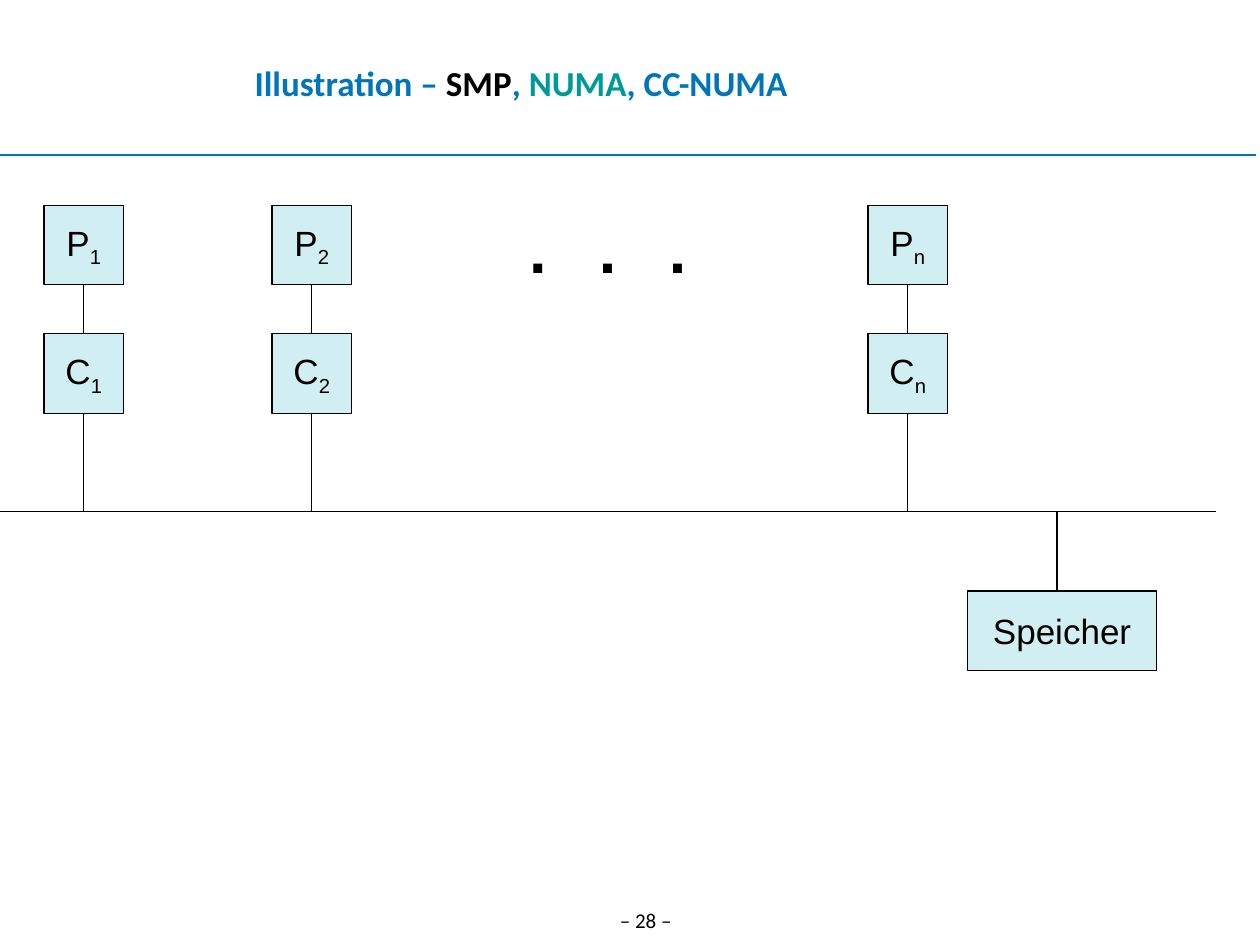
from dataclasses import dataclass

from lxml.etree import SubElement
from pptx import Presentation
from pptx.dml.color import RGBColor
from pptx.enum.shapes import MSO_CONNECTOR, MSO_SHAPE
from pptx.enum.text import MSO_ANCHOR, MSO_AUTO_SIZE, PP_ALIGN
from pptx.oxml.ns import qn
from pptx.util import Inches, Pt


@dataclass(frozen=True)
class Theme:
    """Colours, fonts and sizes of the slide."""
    blue: str = "0075BA"
    teal: str = "009999"
    black: str = "000000"
    pale: str = "D1EFF3"
    heading_font: str = "Calibri"
    body_font: str = "Arial"
    text_size: int = 20
    dots_size: int = 36
    page_size: int = 12
    line_width: float = 0.75


THEME = Theme()
UNIT = 0.63
COLUMNS = {"1": 0.35, "2": 2.16, "n": 6.89}
ROWS = {"P": 1.63, "C": 2.65}
BUS_Y = 4.06


def add_span(para, text, size=THEME.text_size, font=THEME.body_font, color=THEME.black, bold=False):
    """Append a formatted run to a paragraph and return it."""
    span = para.add_run()
    span.text = text
    span.font.size = Pt(size)
    span.font.name = font
    span.font.bold = bold
    span.font.color.rgb = RGBColor.from_string(color)
    return span


def add_line(page, start, end, color=THEME.black):
    """Draw a straight line between two points."""
    points = [Inches(value) for value in (*start, *end)]
    line = page.shapes.add_connector(MSO_CONNECTOR.STRAIGHT, *points)
    line.line.color.rgb = RGBColor.from_string(color)
    line.line.width = Pt(THEME.line_width)
    SubElement(line.element.spPr, qn("a:effectLst"))


def add_node(page, left, top, width, label, index=""):
    """Draw a framed box with a label and an optional subscript."""
    box = page.shapes.add_shape(
        MSO_SHAPE.RECTANGLE, Inches(left), Inches(top), Inches(width), Inches(UNIT))
    box.shadow.inherit = False
    box.fill.solid()
    box.fill.fore_color.rgb = RGBColor.from_string(THEME.pale)
    box.line.color.rgb = RGBColor.from_string(THEME.black)
    box.line.width = Pt(THEME.line_width)
    box.text_frame.word_wrap = False
    box.text_frame.vertical_anchor = MSO_ANCHOR.MIDDLE
    para = box.text_frame.paragraphs[0]
    para.alignment = PP_ALIGN.CENTER
    add_span(para, label)
    if index:
        subscript = add_span(para, index)
        subscript.font._element.set("baseline", "-25000")


def add_label(page, left, top, width, height, align):
    """Add a text box and return its first paragraph."""
    box = page.shapes.add_textbox(Inches(left), Inches(top), Inches(width), Inches(height))
    box.text_frame.word_wrap = False
    para = box.text_frame.paragraphs[0]
    para.alignment = align
    return para


def set_title(page):
    """Place the title and colour the architecture names."""
    title = page.shapes.title
    title.left, title.top, title.width, title.height = map(Inches, (0.2, 0.23, 7.87, 0.85))
    frame = title.text_frame
    frame.margin_left = frame.margin_right = frame.margin_top = frame.margin_bottom = 0
    frame.auto_size = MSO_AUTO_SIZE.NONE
    frame.word_wrap = True
    frame.vertical_anchor = MSO_ANCHOR.MIDDLE
    para = frame.paragraphs[0]
    para.alignment = PP_ALIGN.CENTER
    for text, color in (("Illustration – ", THEME.blue), ("SMP", THEME.black), (", ", THEME.blue),
                        ("NUMA", THEME.teal), (", CC-NUMA", THEME.blue)):
        add_span(para, text, font=THEME.heading_font, color=color, bold=True)


def add_processors(page):
    """Draw each processor and cache column down to the bus."""
    for index, left in COLUMNS.items():
        center = left + UNIT / 2
        add_line(page, (center, ROWS["P"] + UNIT), (center, BUS_Y))
        for label, top in ROWS.items():
            add_node(page, left, top, UNIT, label, index)
    dots = add_label(page, 4.1, 1.62, 1.45, 0.7, PP_ALIGN.LEFT)
    span = add_span(dots, ". . .", size=THEME.dots_size, bold=True)
    span.font._element.set("spc", "1000")


def add_memory(page):
    """Draw the bus and the shared memory below it."""
    memory_top = BUS_Y + UNIT
    add_line(page, (0, BUS_Y), (9.65, BUS_Y))
    add_line(page, (8.39, BUS_Y), (8.39, memory_top))
    add_node(page, 7.68, memory_top, 1.5, "Speicher")


def main():
    """Build and save the slide."""
    deck = Presentation()
    deck.slide_width, deck.slide_height = Inches(10), Inches(7.5)
    page = deck.slides.add_slide(deck.slide_layouts[5])
    set_title(page)
    add_line(page, (0, 1.23), (9.97, 1.23), THEME.blue)
    add_processors(page)
    add_memory(page)
    number = add_label(page, 4.69, 7.15, 0.87, 0.51, PP_ALIGN.CENTER)
    add_span(number, "– 28 –", size=THEME.page_size, font=THEME.heading_font)
    deck.save("out.pptx")


if __name__ == "__main__":
    main()
